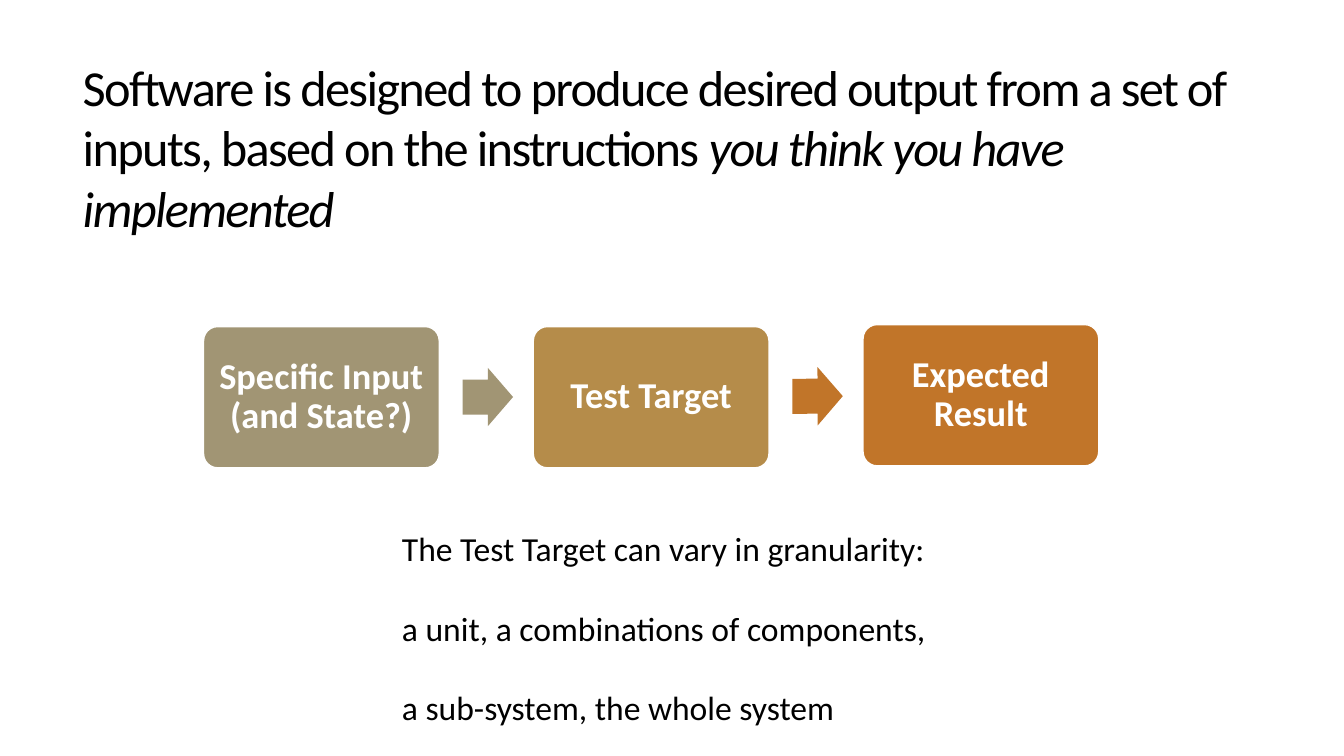
from dataclasses import dataclass

from pptx import Presentation
from pptx.dml.color import RGBColor
from pptx.enum.shapes import MSO_SHAPE
from pptx.enum.text import MSO_ANCHOR, MSO_AUTO_SIZE, PP_ALIGN
from pptx.shapes.autoshape import Shape
from pptx.slide import Slide
from pptx.text.text import Font
from pptx.util import Cm, Pt

COLORS = {
    "text": "000000",
    "white": "FFFFFF",
    "input": "A19574",
    "target": "B58C4A",
    "result": "C17529",
}
FONT = "Calibri"
STAGE_LEFT, STAGE_PITCH = 5.13, 8.31
STAGE_WIDTH, STAGE_HEIGHT = 5.94, 3.56
ARROW_LEFT = 11.66  # arrow after the first stage
ARROW_WIDTH, ARROW_HEIGHT = 1.27, 1.47


@dataclass
class Stage:
    text: str
    color: str
    top: float


@dataclass
class Arrow:
    color: str
    top: float
    rotation: float


STAGES = [
    Stage("Specific Input (and State?)", "input", 8.23),
    Stage("Test Target", "target", 8.23),
    Stage("Expected Result", "result", 8.18),
]
ARROWS = [Arrow("input", 9.27, 0), Arrow("result", 9.25, 359.8)]
GRANULARITY = [
    "The Test Target can vary in granularity:",
    "a unit, a combinations of components,",
    "a sub-system, the whole system",
]


def rgb(name: str) -> RGBColor:
    return RGBColor.from_string(COLORS[name])


def style(font: Font, size: float, color: str = "text") -> None:
    font.name = FONT
    font.size = Pt(size)
    font.color.rgb = rgb(color)


def add_filled(s: Slide, kind: MSO_SHAPE, left: float, top: float,
               width: float, height: float, color: str) -> Shape:
    sp = s.shapes.add_shape(kind, Cm(left), Cm(top), Cm(width), Cm(height))
    sp.shadow.inherit = False
    sp.fill.solid()
    sp.fill.fore_color.rgb = rgb(color)
    return sp


def add_stage(s: Slide, index: int, stage: Stage) -> None:
    sp = add_filled(s, MSO_SHAPE.ROUNDED_RECTANGLE, STAGE_LEFT + index * STAGE_PITCH,
                    stage.top, STAGE_WIDTH, STAGE_HEIGHT, stage.color)
    sp.adjustments[0] = 0.1
    sp.line.color.rgb = rgb("white")
    sp.line.width = Pt(1)
    tf = sp.text_frame
    tf.word_wrap = True
    tf.vertical_anchor = MSO_ANCHOR.MIDDLE
    tf.margin_left = tf.margin_right = Cm(0.2)
    tf.text = stage.text
    p = tf.paragraphs[0]
    p.alignment = PP_ALIGN.CENTER
    p.line_spacing = 0.9
    r = p.runs[0]
    style(r.font, 26, "white")
    r.font.bold = True


def add_arrow(s: Slide, index: int, arrow: Arrow) -> None:
    sp = add_filled(s, MSO_SHAPE.RIGHT_ARROW, ARROW_LEFT + index * STAGE_PITCH,
                    arrow.top, ARROW_WIDTH, ARROW_HEIGHT, arrow.color)
    sp.adjustments[0] = 0.6
    sp.adjustments[1] = 0.5
    sp.rotation = arrow.rotation
    sp.line.fill.background()


def add_title(s: Slide) -> None:
    sp = s.shapes.title
    sp.left, sp.top, sp.width, sp.height = Cm(1.83), Cm(1.4), Cm(29.92), Cm(4.6)
    tf = sp.text_frame
    tf.auto_size = MSO_AUTO_SIZE.NONE
    tf.vertical_anchor = MSO_ANCHOR.MIDDLE
    p = tf.paragraphs[0]
    p.alignment = PP_ALIGN.LEFT
    for text, italic in [
        ("Software is designed to produce desired output from a set of inputs, "
         "based on the instructions ", False),
        ("you think you have implemented", True),
    ]:
        r = p.add_run()
        r.text = text
        style(r.font, 36)
        r.font.italic = italic
        r._r.get_or_add_rPr().set("spc", "-120")


def add_granularity(s: Slide) -> None:
    sp = s.shapes.add_textbox(Cm(9.88), Cm(13.18), Cm(13.82), Cm(5.6))
    tf = sp.text_frame
    tf.word_wrap = True
    tf.text = "\n".join(GRANULARITY)
    for i, p in enumerate(tf.paragraphs):
        if i:
            p.space_before = Pt(28)
        style(p.runs[0].font, 24)


def main() -> None:
    prs = Presentation()
    prs.slide_width, prs.slide_height = Cm(33.87), Cm(19.05)
    s = prs.slides.add_slide(prs.slide_layouts[5])

    # Title
    add_title(s)

    # Process from input to result
    for i, stage in enumerate(STAGES):
        add_stage(s, i, stage)
    for i, arrow in enumerate(ARROWS):
        add_arrow(s, i, arrow)

    # Levels of granularity
    add_granularity(s)

    prs.save("out.pptx")


if __name__ == "__main__":
    main()
